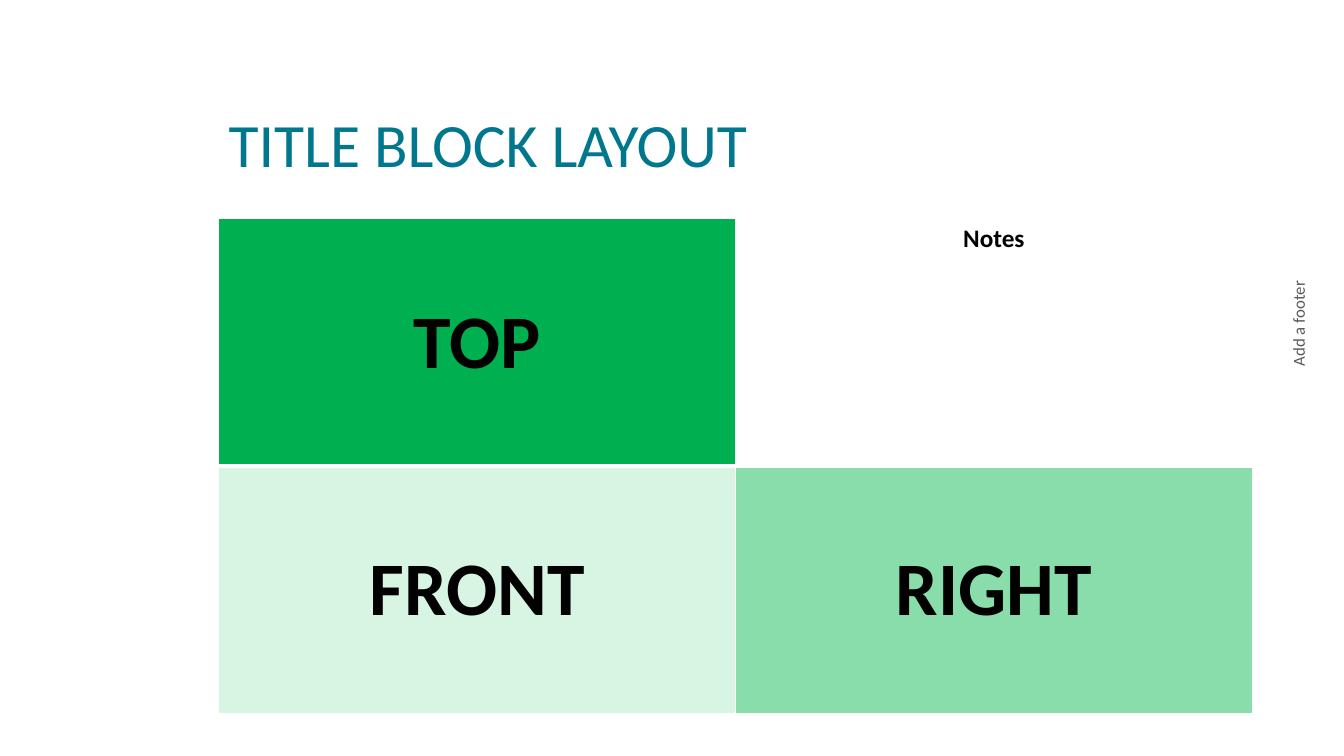
import pptx
import pptx.dml.color
import pptx.enum.text
import pptx.oxml
import pptx.oxml.ns
import pptx.util
from pptx.util import Inches

FONT = "Calibri"
WHITE = "FFFFFF"
BLACK = "000000"
CENTER = pptx.enum.text.PP_ALIGN.CENTER
TOP = pptx.enum.text.MSO_ANCHOR.TOP
MIDDLE = pptx.enum.text.MSO_ANCHOR.MIDDLE
BOTTOM = pptx.enum.text.MSO_ANCHOR.BOTTOM

# text, size, anchor, fill
VIEWS = [
    [("TOP", 54, MIDDLE, "00B050"), ("Notes", 18, TOP, WHITE)],
    [("FRONT", 54, MIDDLE, "D8F4E3"), ("RIGHT", 54, MIDDLE, "89DDAB")],
]


def rgb(color):
    return pptx.dml.color.RGBColor.from_string(color)


def add_run(paragraph, text, size, color, bold=False):
    run = paragraph.add_run()
    run.text = text
    run.font.name = FONT
    run.font.size = pptx.util.Pt(size)
    run.font.bold = bold
    run.font.color.rgb = rgb(color)


def add_text_box(slide, box, anchor):
    shape = slide.shapes.add_textbox(*map(Inches, box))
    shape.text_frame.word_wrap = True
    shape.text_frame.vertical_anchor = anchor
    return shape


def add_title(slide, box):
    paragraph = add_text_box(slide, box, BOTTOM).text_frame.paragraphs[0]
    paragraph.line_spacing = 0.85
    add_run(paragraph, "TITLE BLOCK LAYOUT", 44, "00778D")


def set_borders(cell, bottom_width):
    """Draw white cell borders, placed before the fill as the schema asks."""
    properties = cell._tc.get_or_add_tcPr()
    widths = {"lnL": 1, "lnR": 1, "lnT": 1, "lnB": bottom_width}
    for position, (side, width) in enumerate(widths.items()):
        border = pptx.oxml.parse_xml(
            f'<a:{side} {pptx.oxml.ns.nsdecls("a")} w="{pptx.util.Pt(width)}">'
            f'<a:solidFill><a:srgbClr val="{WHITE}"/></a:solidFill></a:{side}>'
        )
        properties.insert(position, border)


def add_view_table(slide, box):
    rows, columns = len(VIEWS), len(VIEWS[0])
    table = slide.shapes.add_table(rows, columns, *map(Inches, box)).table
    for row_index, row in enumerate(VIEWS):
        for column_index, (text, size, anchor, fill) in enumerate(row):
            cell = table.cell(row_index, column_index)
            cell.fill.solid()
            cell.fill.fore_color.rgb = rgb(fill)
            cell.vertical_anchor = anchor
            set_borders(cell, 3 if row_index == 0 else 1)
            paragraph = cell.text_frame.paragraphs[0]
            paragraph.alignment = CENTER
            add_run(paragraph, text, size, BLACK, bold=True)


def add_footer(slide, box):
    """Add the footer, which reads upwards along the right edge."""
    shape = add_text_box(slide, box, MIDDLE)
    shape.element.txBody.bodyPr.set("vert", "vert270")
    paragraph = shape.text_frame.paragraphs[0]
    paragraph.alignment = CENTER
    add_run(paragraph, "Add a footer", 12, "595959")


def main():
    presentation = pptx.Presentation()
    presentation.slide_width = Inches(13.33)
    presentation.slide_height = Inches(7.5)
    slide = presentation.slides.add_slide(presentation.slide_layouts[6])
    slide.background.fill.solid()
    slide.background.fill.fore_color.rgb = rgb(WHITE)
    add_title(slide, (2.17, 0.42, 10.25, 1.42))
    add_view_table(slide, (2.17, 2.17, 10.25, 4.91))
    add_footer(slide, (12.72, 0.4, 0.31, 5.62))
    presentation.save("out.pptx")


if __name__ == "__main__":
    main()
